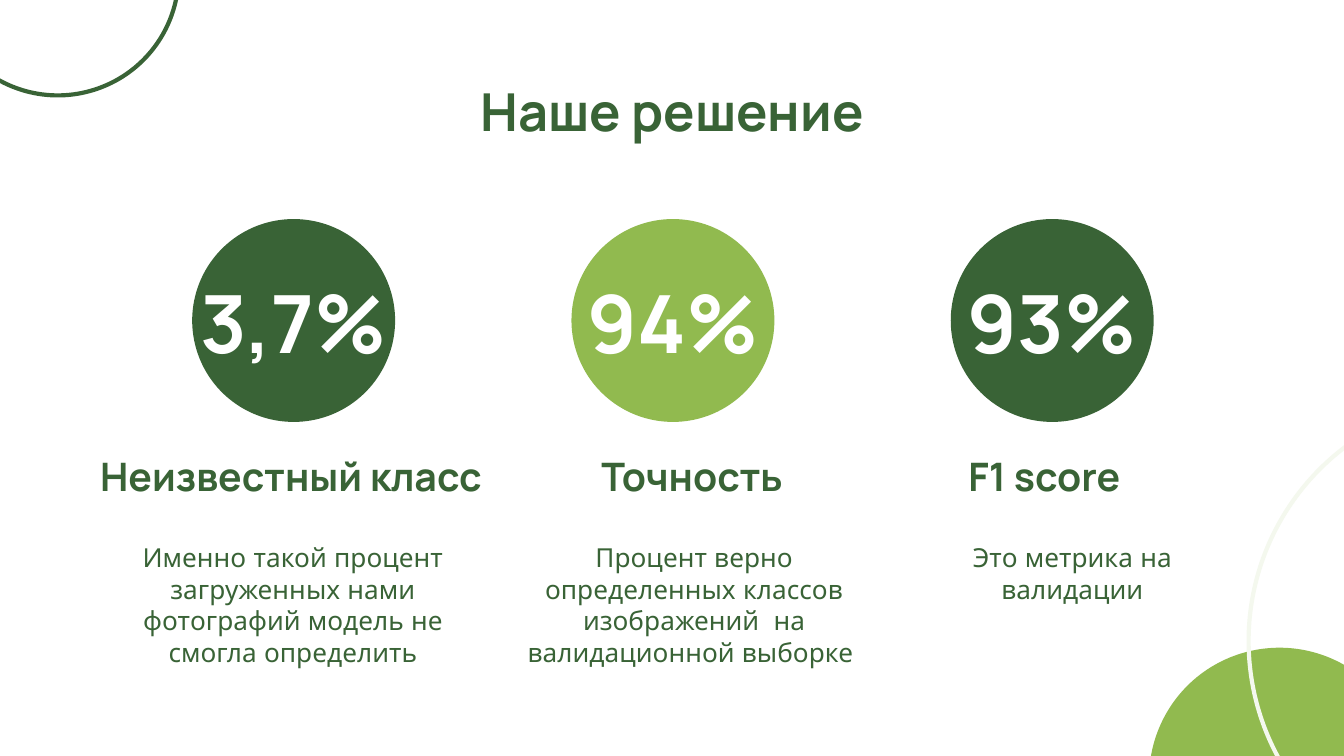
from dataclasses import dataclass
from typing import Optional

from pptx import Presentation
from pptx.dml.color import RGBColor
from pptx.enum.shapes import MSO_SHAPE as Shape
from pptx.enum.text import MSO_ANCHOR as Anchor, PP_ALIGN as Align
from pptx.util import Inches, Pt

DARK = RGBColor(0x39, 0x63, 0x36)
LIGHT = RGBColor(0x91, 0xBA, 0x4F)
PALE = RGBColor(0xF4, 0xF8, 0xEE)
WHITE = RGBColor(0xFF, 0xFF, 0xFF)

WIDTH = Inches(10)
HEIGHT = WIDTH * 9 // 16
COLUMN, ROW = WIDTH / 100, HEIGHT / 100
INSET = Inches(0.1)

FIRST_CENTRE, PITCH = 21.85, 28.22
CIRCLE_ROW, VALUE_ROW, HEADING_ROW, BODY_ROW = 42.4, 42.5, 62.93, 78.25


@dataclass(frozen=True)
class Circle:
    column: float
    row: float
    diameter: float
    fill: Optional[RGBColor] = None
    outline: Optional[RGBColor] = None


@dataclass(frozen=True)
class Style:
    columns: float
    rows: float
    anchor: Anchor
    font: dict


@dataclass(frozen=True)
class Metric:
    value: str
    heading: str
    body: str
    fill: RGBColor
    heading_column: float
    body_column: float
    body_style: Style


def font_format(name: str, size: int, bold: bool) -> dict:
    return {"name": name, "size": Pt(size), "bold": bold}


TITLE = Style(93.2, 11.2, Anchor.TOP, font_format("Manrope", 28, True))
VALUE = Style(17.1, 16.7, Anchor.MIDDLE, font_format("Manrope", 43, True))
HEADING = Style(31.3, 7.1, Anchor.MIDDLE, font_format("Manrope", 21, True))
WIDE_BODY = Style(27.3, 16.7, Anchor.TOP, font_format("Quicksand", 14, False))
BODY = Style(25.6, 16.7, Anchor.TOP, WIDE_BODY.font)
NARROW_BODY = Style(20, 16.7, Anchor.TOP, WIDE_BODY.font)

DECORATIONS = (
    Circle(4.3, -3.38, 18, outline=DARK),
    Circle(95.2, 102.93, 19.4, fill=LIGHT),
    Circle(111, 84.8, 36.2, outline=PALE),
)

METRICS = (
    Metric("3,7%", "Неизвестный класс",
           "Именно такой процент загруженных нами фотографий модель не смогла определить",
           DARK, 21.65, 21.8, BODY),
    Metric("94%", "Точность",
           "Процент верно определенных классов изображений  на валидационной выборке ",
           LIGHT, 51.5, 51.65, WIDE_BODY),
    Metric("93%", "F1 score", "Это метрика на валидации",
           DARK, 77.7, 79.8, NARROW_BODY),
)


def draw_circle(slide, circle: Circle) -> None:
    size = circle.diameter * COLUMN
    disc = slide.shapes.add_shape(
        Shape.OVAL,
        round(circle.column * COLUMN - size / 2),
        round(circle.row * ROW - size / 2),
        round(size), round(size))
    disc.shadow.inherit = False
    if circle.fill is None:
        disc.fill.background()
    else:
        disc.fill.solid()
        disc.fill.fore_color.rgb = circle.fill
    if circle.outline is None:
        disc.line.fill.background()
    else:
        disc.line.color.rgb = circle.outline
        disc.line.width = Pt(2.25)


def write(slide, text: str, column: float, row: float, style: Style,
          colour: RGBColor = DARK) -> None:
    box = slide.shapes.add_textbox(
        round((column - style.columns / 2) * COLUMN),
        round((row - style.rows / 2) * ROW),
        round(style.columns * COLUMN), round(style.rows * ROW))
    frame = box.text_frame
    frame_format = {"word_wrap": True, "vertical_anchor": style.anchor,
                    "margin_left": INSET, "margin_top": INSET,
                    "margin_right": INSET, "margin_bottom": INSET}
    for attribute, setting in frame_format.items():
        setattr(frame, attribute, setting)
    paragraph = frame.paragraphs[0]
    paragraph.alignment = Align.CENTER
    run = paragraph.add_run()
    run.text = text
    for attribute, setting in style.font.items():
        setattr(run.font, attribute, setting)
    run.font.color.rgb = colour


def draw_metric(slide, index: int, metric: Metric) -> None:
    centre = FIRST_CENTRE + index * PITCH
    draw_circle(slide, Circle(centre, CIRCLE_ROW, 15.1, fill=metric.fill))
    write(slide, metric.value, centre, VALUE_ROW, VALUE, WHITE)
    write(slide, metric.heading, metric.heading_column, HEADING_ROW, HEADING)
    write(slide, metric.body, metric.body_column, BODY_ROW, metric.body_style)


def main() -> None:
    deck = Presentation()
    deck.slide_width, deck.slide_height = WIDTH, HEIGHT
    slide = deck.slides.add_slide(deck.slide_layouts[6])
    slide.background.fill.solid()
    slide.background.fill.fore_color.rgb = WHITE
    for decoration in DECORATIONS:
        draw_circle(slide, decoration)
    write(slide, "Наше решение", 50, 14.3, TITLE)
    for index, metric in enumerate(METRICS):
        draw_metric(slide, index, metric)
    deck.save("out.pptx")


if __name__ == "__main__":
    main()
